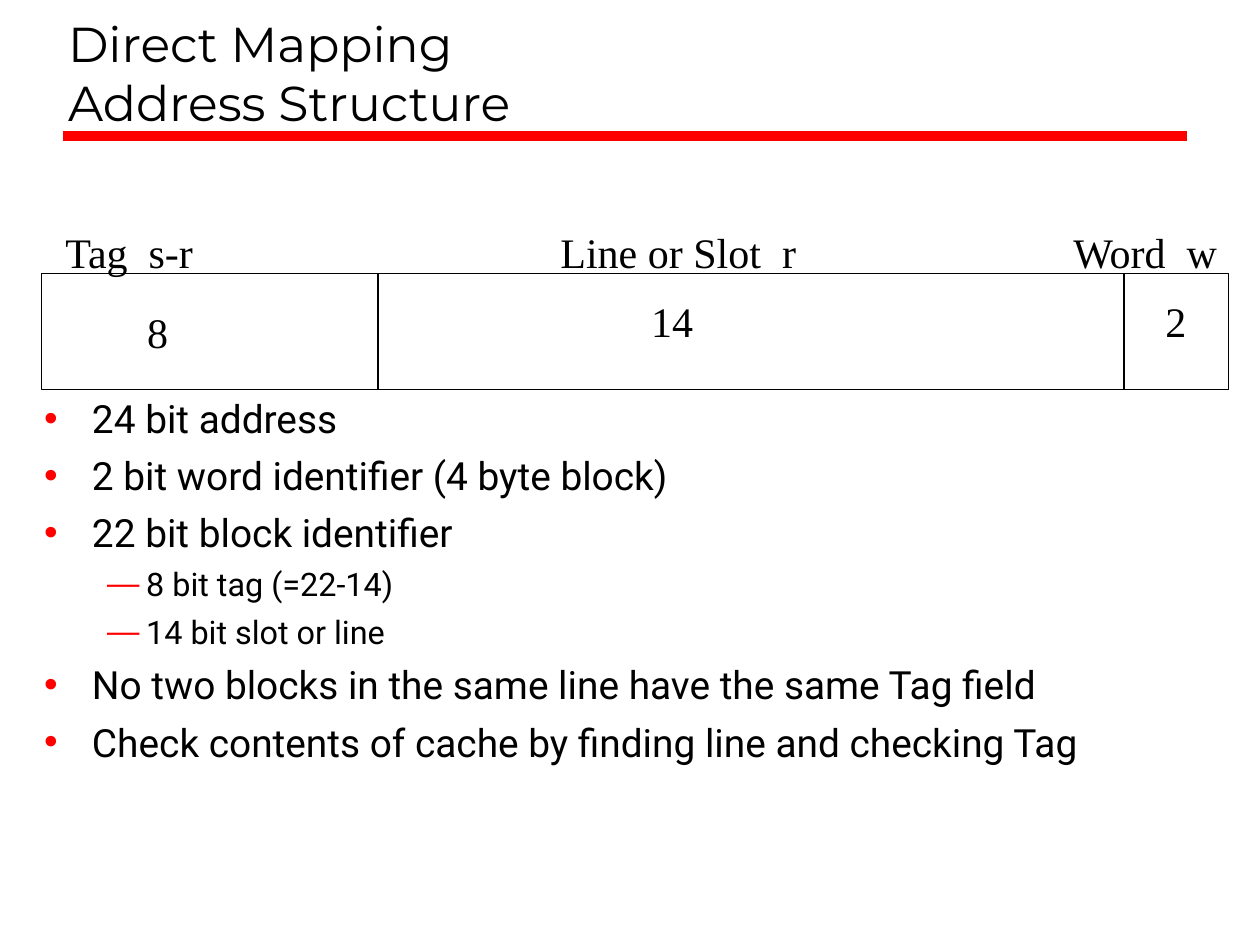
"""Build the direct mapping address structure slide."""
from dataclasses import dataclass

from lxml import etree
from pptx import Presentation
from pptx.dml.color import RGBColor
from pptx.enum.shapes import MSO_CONNECTOR, MSO_SHAPE
from pptx.enum.text import MSO_ANCHOR, MSO_AUTO_SIZE, PP_ALIGN
from pptx.oxml.ns import qn
from pptx.util import Inches, Pt

BLACK = RGBColor(0x00, 0x00, 0x00)
RED = RGBColor(0xFF, 0x00, 0x00)
STRAIGHT = MSO_CONNECTOR.STRAIGHT
RECTANGLE = MSO_SHAPE.RECTANGLE
BOTTOM, TOP = MSO_ANCHOR.BOTTOM, MSO_ANCHOR.TOP
LEFT = PP_ALIGN.LEFT
NO_FIT = MSO_AUTO_SIZE.NONE
GROW = MSO_AUTO_SIZE.SHAPE_TO_FIT_TEXT

TITLE_FONT, BODY_FONT, LABEL_FONT = "Montserrat", "Roboto", "Times New Roman"
ADDRESS_LEFT, ADDRESS_TOP, ADDRESS_WIDTH, ADDRESS_HEIGHT = 0.33, 2.17, 9.42, 0.92
LABEL_TOP, LABEL_HEIGHT = 1.75, 0.5


@dataclass(frozen=True)
class Label:
    text: str
    left: float
    top: float
    width: float


@dataclass(frozen=True)
class BulletStyle:
    symbol: str
    size: float
    margin: float
    hanging: float
    space_before: float


@dataclass(frozen=True)
class Bullet:
    text: str
    level: int = 0


LABELS = (
    Label("Tag  s-r", 0.42, LABEL_TOP, 1.23),
    Label("Line or Slot  r", 4.35, LABEL_TOP, 2.07),
    Label("Word  w", 8.42, LABEL_TOP, 1.36),
    Label("8", 1.07, 2.38, 0.36),
    Label("14", 5.07, 2.3, 0.53),
    Label("2", 9.15, 2.3, 0.36),
)
DIVIDERS = (3, 8.92)
BULLET_STYLES = (
    BulletStyle("•", 22.2, 0.38, 0.38, 6),
    BulletStyle("—", 18.5, 0.81, 0.31, 5),
)
BULLETS = (
    Bullet("24 bit address"),
    Bullet("2 bit word identifier (4 byte block)"),
    Bullet("22 bit block identifier"),
    Bullet("8 bit tag (=22-14)", 1),
    Bullet("14 bit slot or line", 1),
    Bullet("No two blocks in the same line have the same Tag field"),
    Bullet("Check contents of cache by finding line and checking Tag"),
)


def place(shape, left: float, top: float, width: float, height: float) -> None:
    shape.left, shape.top = Inches(left), Inches(top)
    shape.width, shape.height = Inches(width), Inches(height)


def add_run(paragraph, text: str, font_name: str, size: float) -> None:
    run = paragraph.add_run()
    run.text = text
    run.font.name = font_name
    run.font.size = Pt(size)
    run.font.color.rgb = BLACK


def add_line(slide, start: tuple[float, float], end: tuple[float, float],
             color: RGBColor, width: float) -> None:
    line = slide.shapes.add_connector(STRAIGHT, *map(Inches, start + end))
    line.line.color.rgb = color
    line.line.width = Pt(width)
    etree.SubElement(line._element.spPr, qn("a:effectLst"))


def add_label(slide, label: Label) -> None:
    shape = slide.shapes.add_textbox(
        Inches(label.left), Inches(label.top), Inches(label.width), Inches(LABEL_HEIGHT))
    frame = shape.text_frame
    frame.word_wrap = False
    frame.auto_size = GROW
    add_run(frame.paragraphs[0], label.text, LABEL_FONT, 24)


def fill_title(title) -> None:
    place(title, 0.44, 0.17, 8.97, 0.92)
    frame = title.text_frame
    frame.auto_size = NO_FIT
    frame.vertical_anchor = BOTTOM
    paragraph = frame.paragraphs[0]
    paragraph.alignment = LEFT
    add_run(paragraph, "Direct Mapping", TITLE_FONT, 28)
    paragraph.add_line_break()
    add_run(paragraph, "Address Structure", TITLE_FONT, 28)


def format_bullet(paragraph, style: BulletStyle) -> None:
    properties = paragraph._p.get_or_add_pPr()
    properties.set("marL", str(Inches(style.margin)))
    properties.set("indent", str(-Inches(style.hanging)))
    bullet_color = etree.SubElement(properties, qn("a:buClr"))
    etree.SubElement(bullet_color, qn("a:srgbClr"), val=str(RED))
    etree.SubElement(properties, qn("a:buChar"), char=style.symbol)


def fill_body(body) -> None:
    place(body, 0.25, 3.08, 9.19, 3.54)
    frame = body.text_frame
    frame.auto_size = NO_FIT
    frame.vertical_anchor = TOP
    for index, bullet in enumerate(BULLETS):
        paragraph = frame.add_paragraph() if index else frame.paragraphs[0]
        style = BULLET_STYLES[bullet.level]
        paragraph.level = bullet.level
        format_bullet(paragraph, style)
        paragraph.space_before = Pt(style.space_before if index else 0)
        add_run(paragraph, bullet.text, BODY_FONT, style.size)


def add_address(slide) -> None:
    address = slide.shapes.add_shape(
        RECTANGLE, Inches(ADDRESS_LEFT), Inches(ADDRESS_TOP),
        Inches(ADDRESS_WIDTH), Inches(ADDRESS_HEIGHT))
    address.shadow.inherit = False
    address.fill.background()
    address.line.color.rgb = BLACK
    address.line.width = Pt(0.75)
    for left in DIVIDERS:
        add_line(slide, (left, ADDRESS_TOP), (left, ADDRESS_TOP + ADDRESS_HEIGHT), BLACK, 0.75)
    for label in LABELS:
        add_label(slide, label)


def main() -> None:
    presentation = Presentation()
    presentation.slide_width, presentation.slide_height = Inches(10), Inches(7.5)
    slide = presentation.slides.add_slide(presentation.slide_layouts[1])
    add_line(slide, (0.5, 1.08), (9.42, 1.08), RED, 6)
    fill_title(slide.shapes.title)
    add_address(slide)
    fill_body(slide.placeholders[1])
    presentation.save("out.pptx")


if __name__ == "__main__":
    main()
